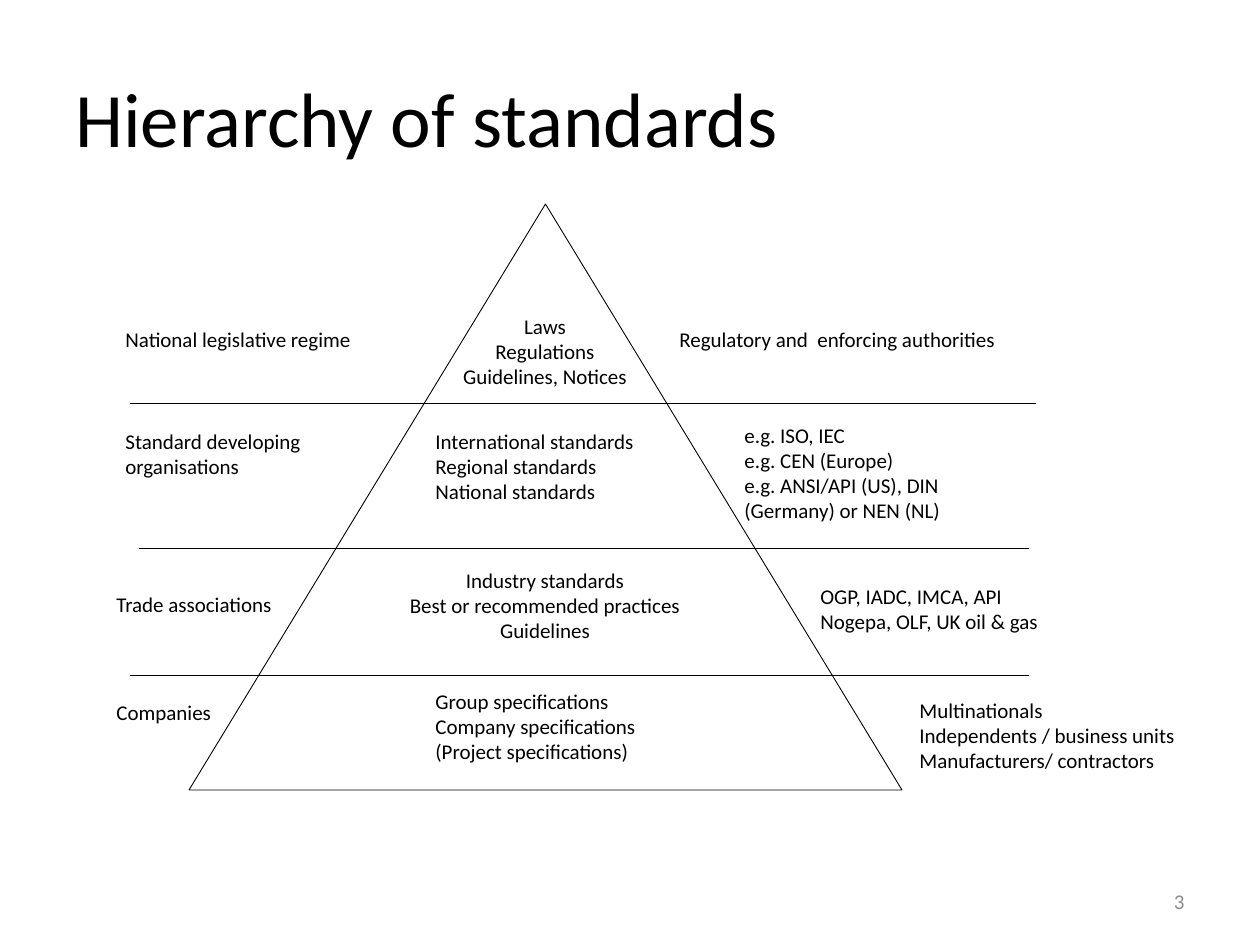
from dataclasses import dataclass

from lxml import etree
from pptx import Presentation
from pptx.dml.color import RGBColor
from pptx.enum.shapes import MSO_CONNECTOR, MSO_SHAPE
from pptx.enum.text import MSO_ANCHOR, PP_ALIGN
from pptx.oxml.ns import qn
from pptx.util import Pt

EMU_PER_PX = 914400 / 126
TRIANGLE = MSO_SHAPE.ISOSCELES_TRIANGLE
STRAIGHT = MSO_CONNECTOR.STRAIGHT
LEFT, CENTER, RIGHT = PP_ALIGN.LEFT, PP_ALIGN.CENTER, PP_ALIGN.RIGHT
TOP, MIDDLE = MSO_ANCHOR.TOP, MSO_ANCHOR.MIDDLE


@dataclass(frozen=True)
class Theme:
    font: str = "Calibri"
    ink: RGBColor = RGBColor(0x00, 0x00, 0x00)
    muted: RGBColor = RGBColor(0x8C, 0x8C, 0x8C)
    title_size: int = 44
    body_size: int = 12
    line_width: float = 0.5


THEME = Theme()

# Each level of the pyramid: (left, top, width, height), alignment, lines
LEVELS = {
    "law": [
        ((113, 320, 338, 67), LEFT, ["National legislative regime"]),
        ((423, 307, 244, 108), CENTER,
         ["Laws", "Regulations", "Guidelines, Notices"]),
        ((667, 320, 469, 67), LEFT, ["Regulatory and  enforcing authorities"]),
    ],
    "standards": [
        ((113, 422, 319, 67), LEFT, ["Standard developing", "organisations"]),
        ((423, 422, 272, 108), LEFT,
         ["International standards", "Regional standards", "National standards"]),
        ((732, 416, 329, 127), LEFT,
         ["e.g. ISO, IEC", "e.g. CEN (Europe)",
          "e.g. ANSI/API (US), DIN", "(Germany) or NEN (NL)"]),
    ],
    "industry": [
        ((104, 585, 226, 37), LEFT, ["Trade associations"]),
        ((320, 561, 450, 120), CENTER,
         ["Industry standards", "Best or recommended practices", "Guidelines"]),
        ((808, 577, 300, 91), LEFT,
         ["OGP, IADC, IMCA, API", "Nogepa, OLF, UK oil & gas"]),
    ],
    "company": [
        ((104, 693, 169, 60), LEFT, ["Companies"]),
        ((423, 682, 272, 108), LEFT,
         ["Group specifications", "Company specifications",
          "(Project specifications)"]),
        ((907, 691, 307, 100), LEFT,
         ["Multinationals", "Independents / business units",
          "Manufacturers/ contractors"]),
    ],
}

# Lines between the levels: left end, right end, height on the page
DIVIDERS = [(130, 1036, 403), (139, 1029, 548), (130, 1029, 675)]


def px(*lengths):
    return [round(length * EMU_PER_PX) for length in lengths]


def apply_format(target, values):
    for name, value in values.items():
        setattr(target, name, value)


def add_text(page, area, lines, align=LEFT, anchor=TOP,
             size=THEME.body_size, color=THEME.ink):
    frame = page.shapes.add_textbox(*px(*area)).text_frame
    apply_format(frame, {"word_wrap": True, "vertical_anchor": anchor})
    for index, line in enumerate(lines):
        para = frame.paragraphs[0] if index == 0 else frame.add_paragraph()
        para.alignment = align
        span = para.add_run()
        span.text = line
        apply_format(span.font, {"name": THEME.font, "size": Pt(size)})
        span.font.color.rgb = color


def style_line(line):
    line.color.rgb = THEME.ink
    line.width = Pt(THEME.line_width)


def add_pyramid(page, area):
    pyramid = page.shapes.add_shape(TRIANGLE, *px(*area))
    pyramid.shadow.inherit = False
    pyramid.fill.background()
    style_line(pyramid.line)


def add_divider(page, left, right, height):
    divider = page.shapes.add_connector(STRAIGHT, *px(left, height, right, height))
    style_line(divider.line)
    etree.SubElement(divider._element.spPr, qn("a:effectLst"))


def main():
    deck = Presentation()
    deck.slide_width, deck.slide_height = px(1260, 945)
    page = deck.slides.add_slide(deck.slide_layouts[6])

    # Title
    add_text(page, (63, 38, 1134, 157), ["Hierarchy of standards"],
             anchor=MIDDLE, size=THEME.title_size)

    # Pyramid and its dividers
    add_pyramid(page, (189, 204, 713, 586))
    for divider in DIVIDERS:
        add_divider(page, *divider)

    # Who, what and examples for each level
    for level in LEVELS.values():
        for area, align, lines in level:
            add_text(page, area, lines, align)

    # Page number
    add_text(page, (903, 876, 294, 50), ["3"], RIGHT, MIDDLE, color=THEME.muted)

    deck.save("out.pptx")


if __name__ == "__main__":
    main()
